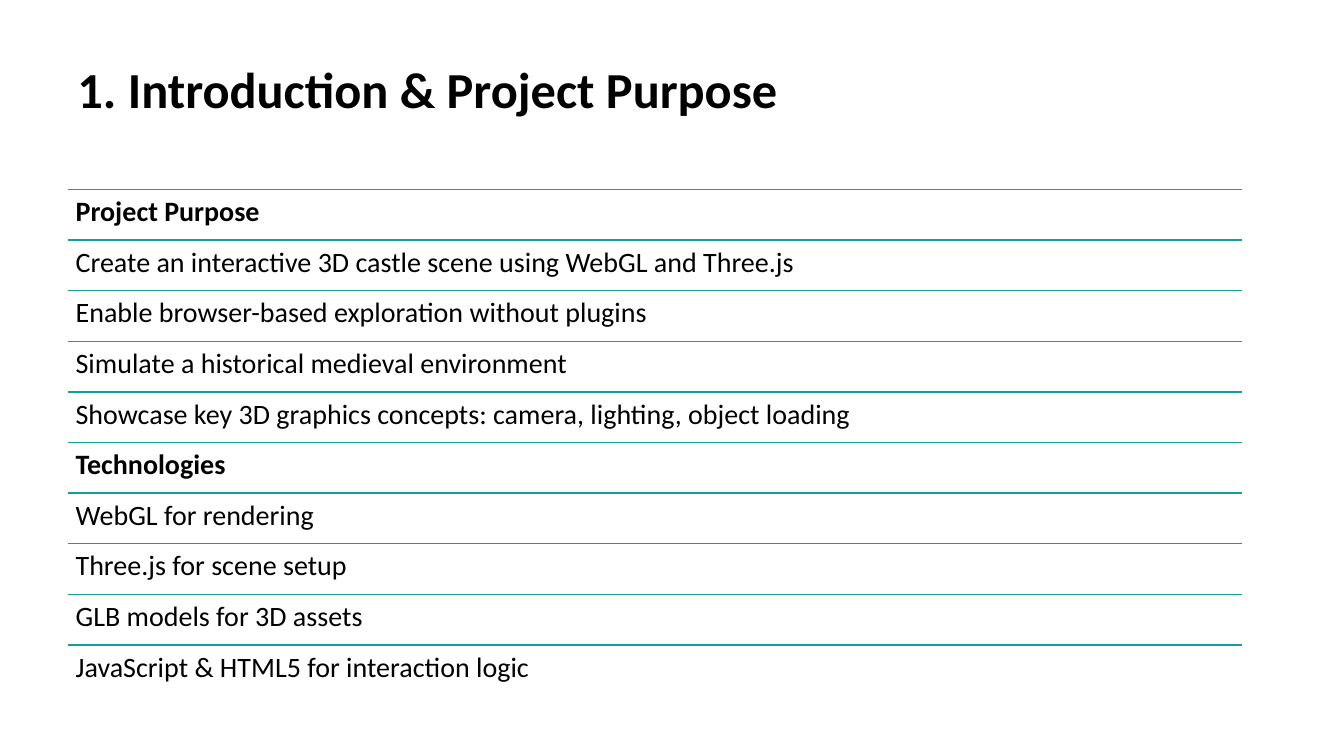
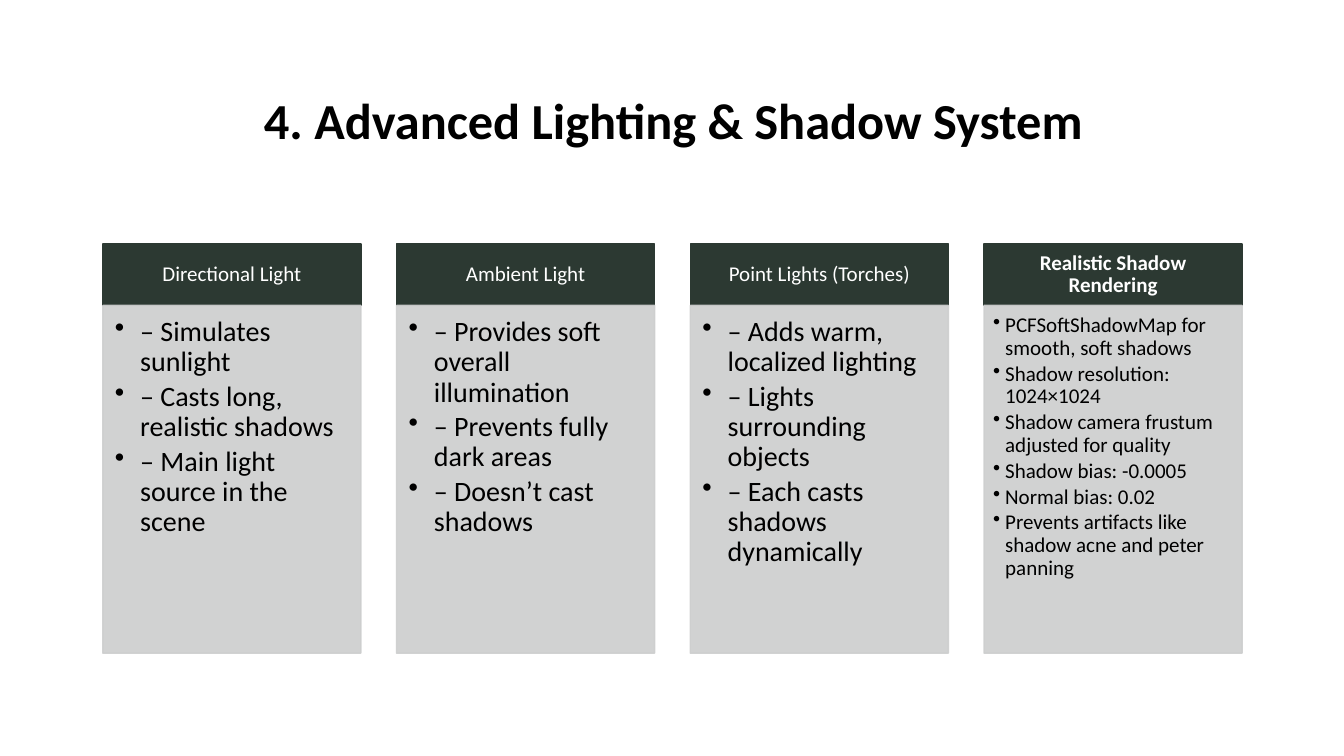
from pptx import Presentation
from pptx.dml.color import RGBColor
from pptx.enum.shapes import MSO_CONNECTOR, MSO_SHAPE
from pptx.enum.text import MSO_ANCHOR, PP_ALIGN
from pptx.oxml.ns import qn
from pptx.util import Inches, Pt
from lxml.etree import SubElement

FONT = "Calibri"
BLACK = RGBColor(0x00, 0x00, 0x00)
WHITE = RGBColor(0xFF, 0xFF, 0xFF)
TEAL = RGBColor(0x16, 0x9C, 0x9A)
DARK_GREEN = RGBColor(0x2C, 0x39, 0x32)
GREY = RGBColor(0xCD, 0xCE, 0xCE)

# Content
PURPOSE_TITLE = "1. Introduction & Project Purpose"
PURPOSE_SECTIONS = [
    ("Project Purpose", [
        "Create an interactive 3D castle scene using WebGL and Three.js",
        "Enable browser-based exploration without plugins",
        "Simulate a historical medieval environment",
        "Showcase key 3D graphics concepts: camera, lighting, object loading",
    ]),
    ("Technologies", [
        "WebGL for rendering",
        "Three.js for scene setup",
        "GLB models for 3D assets",
        "JavaScript & HTML5 for interaction logic",
    ]),
]

LIGHTING_TITLE = "4. Advanced Lighting & Shadow System"
LARGE = {"size": 20, "indent": 0.25, "insets": (0.12, 0.12, 0.16, 0.17)}
SMALL = {"size": 15, "indent": 0.12, "insets": (0.09, 0.09, 0.12, 0.13)}
# Heading, heading is bold, body style, points
LIGHTING_CARDS = [
    ("Directional Light", False, LARGE, [
        "– Simulates sunlight",
        "– Casts long, realistic shadows",
        "– Main light source in the scene",
    ]),
    ("Ambient Light", False, LARGE, [
        "– Provides soft overall illumination",
        "– Prevents fully dark areas",
        "– Doesn’t cast shadows",
    ]),
    ("Point Lights (Torches)", False, LARGE, [
        "– Adds warm, localized lighting",
        "– Lights surrounding objects",
        "– Each casts shadows dynamically",
    ]),
    ("Realistic Shadow Rendering", True, SMALL, [
        "PCFSoftShadowMap for smooth, soft shadows",
        "Shadow resolution: 1024×1024",
        "Shadow camera frustum adjusted for quality",
        "Shadow bias: -0.0005",
        "Normal bias: 0.02",
        "Prevents artifacts like shadow acne and peter panning",
    ]),
]

# Layout, in inches
RIGHT = 12.32
ROWS_LEFT, ROWS_TOP, ROWS_BOTTOM = 0.67, 1.88, 6.9
CARDS_LEFT, CARDS_TOP, CARD_WIDTH = 1.02, 2.42, 2.56
HEAD_HEIGHT, BODY_HEIGHT = 0.61, 3.45


def write(sp, lines, size, color=BLACK, bold=False, align=PP_ALIGN.LEFT,
          anchor=MSO_ANCHOR.TOP, insets=(0.1, 0.05, 0.1, 0.05), after=0):
    """Fill a shape with one paragraph per line; after is a share of the size."""
    tf = sp.text_frame
    tf.word_wrap = True
    tf.vertical_anchor = anchor
    (tf.margin_left, tf.margin_top,
     tf.margin_right, tf.margin_bottom) = map(Inches, insets)
    tf.text = "\n".join(lines)
    for p in tf.paragraphs:
        p.alignment = align
        p.line_spacing = 0.9
        p.space_after = Pt(size * after)
        font = p.runs[0].font
        font.name, font.size, font.bold = FONT, Pt(size), bold
        font.color.rgb = color


def add_text(slide, box, lines, size, **style):
    write(slide.shapes.add_textbox(*map(Inches, box)), lines, size, **style)


def add_title(slide, text, left, width, **style):
    add_text(slide, (left, 0.6, width, 1.24), [text], 36, bold=True, **style)


def add_rule(slide, y):
    line = slide.shapes.add_connector(
        MSO_CONNECTOR.STRAIGHT, Inches(ROWS_LEFT), Inches(y), Inches(RIGHT), Inches(y))
    line.line.color.rgb = TEAL
    line.line.width = Pt(1)
    SubElement(line._element.spPr, qn("a:effectLst"))


def add_panel(slide, box, color, opacity=100):
    sp = slide.shapes.add_shape(MSO_SHAPE.RECTANGLE, *map(Inches, box))
    sp.shadow.inherit = False
    sp.fill.solid()
    sp.fill.fore_color.rgb = color
    sp.line.color.rgb = color
    sp.line.width = Pt(1)
    if opacity < 100:
        for clr in sp._element.spPr.iter(qn("a:srgbClr")):
            SubElement(clr, qn("a:alpha"), val=str(opacity * 1000))
    return sp


def add_bullets(sp, indent):
    for p in sp.text_frame.paragraphs:
        pPr = p._p.get_or_add_pPr()
        pPr.set("marL", str(Inches(indent)))
        pPr.set("indent", str(-Inches(indent)))
        SubElement(pPr, qn("a:buChar"), char="•")


def build_purpose(slide):
    add_title(slide, PURPOSE_TITLE, ROWS_LEFT, RIGHT - ROWS_LEFT)
    rows = []
    for heading, items in PURPOSE_SECTIONS:
        rows += [(heading, True)] + [(item, False) for item in items]
    height = (ROWS_BOTTOM - ROWS_TOP) / len(rows)
    for i, (text, bold) in enumerate(rows):
        y = ROWS_TOP + i * height
        add_rule(slide, y)
        add_text(slide, (ROWS_LEFT, y, RIGHT - ROWS_LEFT, height), [text], 20,
                 bold=bold, insets=(0.08,) * 4)


def build_lighting(slide):
    add_title(slide, LIGHTING_TITLE, 1.67, 10.02,
              align=PP_ALIGN.CENTER, anchor=MSO_ANCHOR.MIDDLE)
    pitch = (RIGHT - CARDS_LEFT - CARD_WIDTH) / (len(LIGHTING_CARDS) - 1)
    for i, (heading, bold, style, points) in enumerate(LIGHTING_CARDS):
        x = CARDS_LEFT + i * pitch
        head = add_panel(slide, (x, CARDS_TOP, CARD_WIDTH, HEAD_HEIGHT), DARK_GREEN)
        write(head, [heading], 15, color=WHITE, bold=bold, align=PP_ALIGN.CENTER,
              anchor=MSO_ANCHOR.MIDDLE, insets=(0.12, 0.07, 0.12, 0.07))
        body = add_panel(slide, (x, CARDS_TOP + HEAD_HEIGHT, CARD_WIDTH, BODY_HEIGHT),
                         GREY, opacity=90)
        write(body, points, style["size"], insets=style["insets"], after=0.15)
        add_bullets(body, style["indent"])


def main():
    prs = Presentation()
    prs.slide_width, prs.slide_height = Inches(13.33), Inches(7.5)
    for build in (build_purpose, build_lighting):
        build(prs.slides.add_slide(prs.slide_layouts[6]))
    prs.save("out.pptx")


if __name__ == "__main__":
    main()
